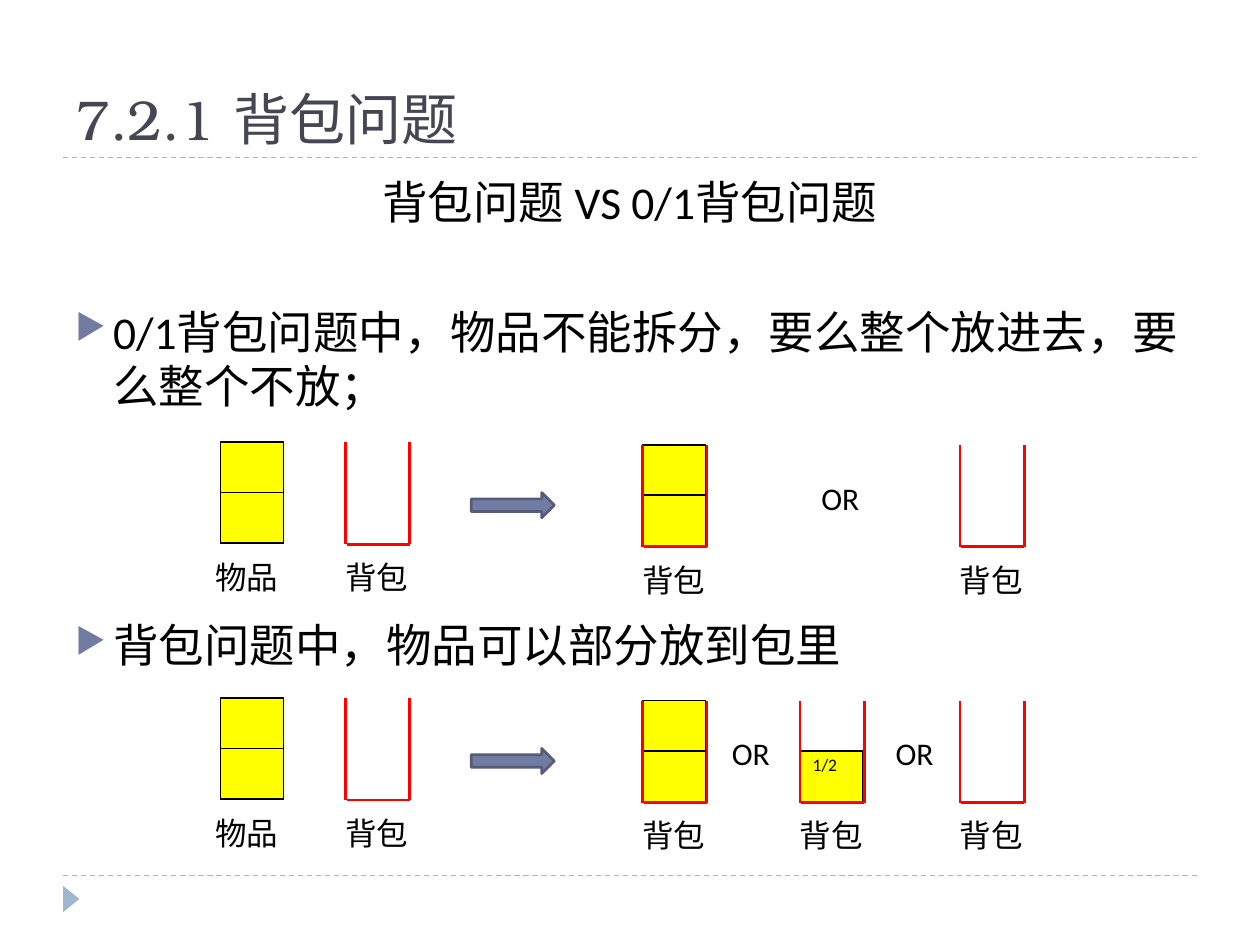
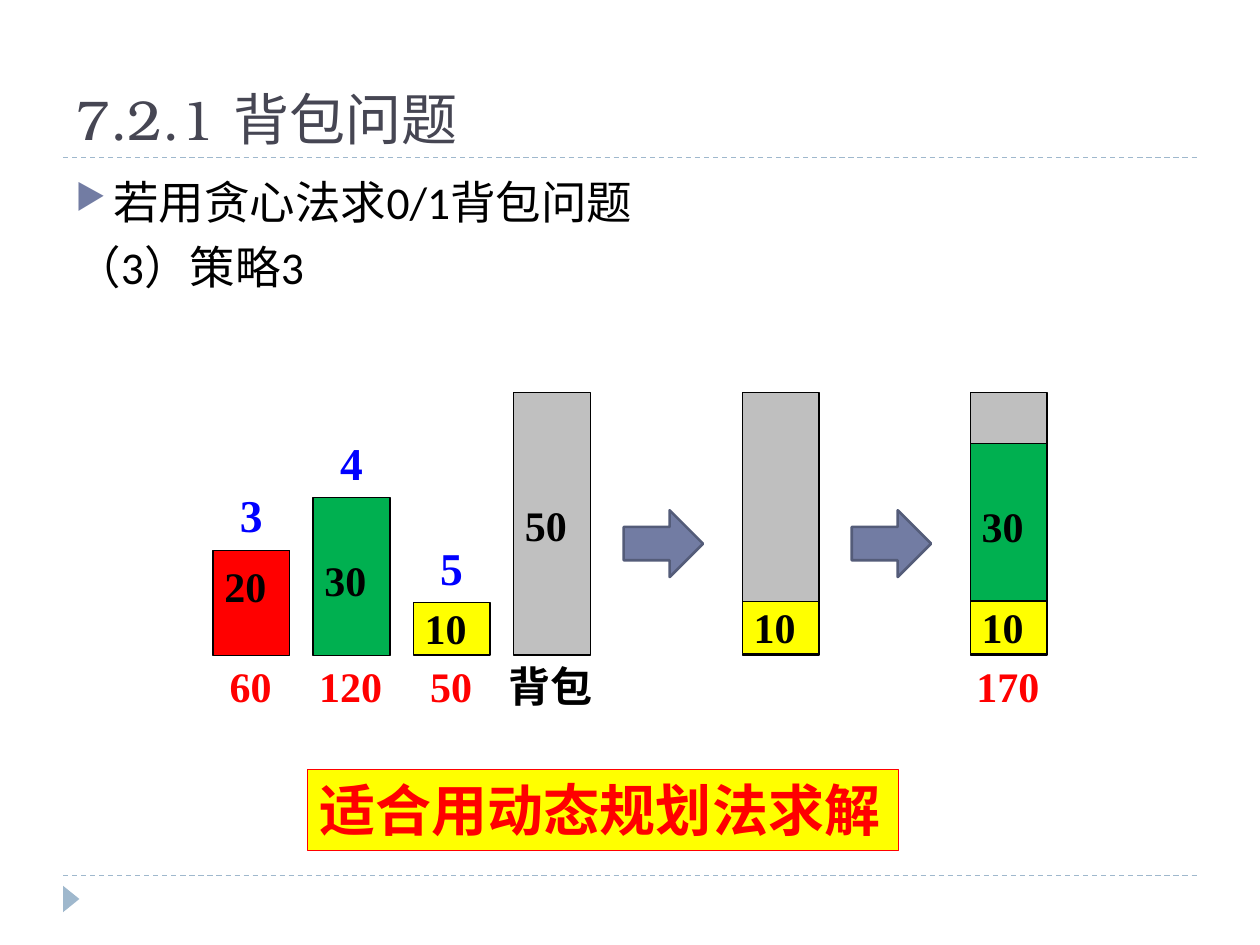
import pptx
import pptx.util
import pptx.dml.color
import pptx.enum.dml
import pptx.enum.shapes
import pptx.enum.text
import pptx.oxml
import pptx.oxml.ns

Inches = pptx.util.Inches
Pt = pptx.util.Pt
Shape = pptx.enum.shapes.MSO_SHAPE
Align = pptx.enum.text.PP_ALIGN
Anchor = pptx.enum.text.MSO_ANCHOR


class Theme:
    black, red, blue = "000000", "FF0000", "0000FF"
    yellow, green = "FFFF00", "00B050"
    gray, silver = "C0C0C0", "BFBFBF"
    title, rule = "464653", "9FB8CD"
    accent, edge = "727CA3", "545C79"
    thin, thick = 0.75, 1.5
    head = dict(name="TeX Gyre Bonum", size=32, color=title)
    body = dict(name="Calibri", size=26, color=black)
    label = dict(name="Calibri", size=18, color=black)
    note = dict(name="Calibri", size=10, color=black)
    weight = dict(name="Times New Roman", size=24, color=black, bold=True)
    price = {**weight, "color": red}
    ratio = {**weight, "size": 26, "color": blue}
    banner = dict(name="Calibri", size=32, color=red, bold=True)


def rgb(code):
    return pptx.dml.color.RGBColor.from_string(code)


def put(target, values):
    for key, value in values.items():
        setattr(target, key, value)


def write(para, words, style):
    run = para.add_run()
    run.text = words
    for key, value in style.items():
        if key == "color":
            run.font.color.rgb = rgb(value)
        else:
            setattr(run.font, key, Pt(value) if key == "size" else value)


def label(slide, box, words, style, **frame):
    area = slide.shapes.add_textbox(*map(Inches, box)).text_frame
    put(area, {"word_wrap": False, **frame})
    write(area.paragraphs[0], words, style)


def block(slide, kind, box, fill, edge=None, width=Theme.thin):
    shape = slide.shapes.add_shape(kind, *map(Inches, box))
    shape.shadow.inherit = False
    shape.fill.solid()
    shape.fill.fore_color.rgb = rgb(fill)
    if edge:
        shape.line.color.rgb = rgb(edge)
        shape.line.width = Pt(width)
    else:
        shape.line.fill.background()
    return shape


def arrow(slide, box):
    block(slide, Shape.RIGHT_ARROW, box, Theme.accent, Theme.edge, Theme.thick)


def line(shapes, start, end, color, width):
    link = shapes.add_connector(pptx.enum.shapes.MSO_CONNECTOR.STRAIGHT,
                                *map(Inches, (*start, *end)))
    link.line.color.rgb = rgb(color)
    link.line.width = Pt(width)
    props = link._element.spPr
    props.append(props.makeelement(pptx.oxml.ns.qn("a:effectLst"), {}))
    return link


def bullet(para):
    props = para._p.get_or_add_pPr()
    put_at = {"marL": Inches(0.3), "indent": Inches(-0.3)}
    for key, value in put_at.items():
        props.set(key, str(value))
    space = pptx.oxml.ns.nsdecls("a")
    for part in (f'<a:buClr {space}><a:srgbClr val="{Theme.accent}"/></a:buClr>',
                 f'<a:buSzPct {space} val="76000"/>',
                 f'<a:buChar {space} char="▶"/>'):
        props.append(pptx.oxml.parse_xml(part))


def frame(deck, title):
    slide = deck.slides.add_slide(deck.slide_layouts[6])
    for y in (6.95, 1.25):
        rule = line(slide.shapes, (0.5, y), (9.5, y), Theme.rule, Theme.thin)
        rule.line.dash_style = pptx.enum.dml.MSO_LINE.DASH
    mark = block(slide, Shape.ISOSCELES_TRIANGLE, (0.46, 7.07, 0.21, 0.13), Theme.rule)
    mark.rotation = 90
    label(slide, (0.5, 0.17, 9, 1.08), title, Theme.head,
          word_wrap=True, vertical_anchor=Anchor.BOTTOM)
    return slide


def body(slide, box, items):
    area = slide.shapes.add_textbox(*map(Inches, box)).text_frame
    area.word_wrap = True
    for i, (words, gap, align, dot) in enumerate(items):
        para = area.add_paragraph() if i else area.paragraphs[0]
        put(para, {"space_before": Pt(gap), "alignment": align})
        if dot:
            bullet(para)
        write(para, words, Theme.body)


def goods(slide, x, y, rows, note=""):
    grid = slide.shapes.add_table(rows, 1, *map(Inches, (x, y, 0.5, 0.4 * rows))).table
    put(grid, {"first_row": False, "horz_banding": False})
    space = pptx.oxml.ns.nsdecls("a")
    for cell in grid.iter_cells():
        put(cell, {"margin_top": Inches(0.03), "margin_bottom": Inches(0.03)})
        props = cell._tc.get_or_add_tcPr()
        for side in "LRTB":
            props.append(pptx.oxml.parse_xml(
                f'<a:ln{side} {space} w="{Pt(1)}"><a:solidFill>'
                f'<a:srgbClr val="{Theme.black}"/></a:solidFill></a:ln{side}>'))
        cell.fill.solid()
        cell.fill.fore_color.rgb = rgb(Theme.yellow)
        if note:
            write(cell.text_frame.paragraphs[0], note, Theme.note)


def sack(slide, x, y, rows=0, note=""):
    if rows:
        goods(slide, x, y + 0.4 * (2 - rows), rows, note)
    group = slide.shapes.add_group_shape()
    left, right, base = x, x + 0.51, y + 0.81
    for start, end in (((left, y), (left, base)),
                       ((left + 0.01, base), (right, base)),
                       ((right, y), (right, base))):
        line(group.shapes, start, end, Theme.red, Theme.thick)
    label(slide, (x - 0.1, y + 0.87, 0.71, 0.4), "背包", Theme.label)


def choice(slide, x, y, sacks, links):
    goods(slide, x, y, 2)
    label(slide, (x - 0.14, y + 0.87, 0.71, 0.4), "物品", Theme.label)
    sack(slide, x + 0.99, y)
    arrow(slide, (x + 1.99, y + 0.4, 0.66, 0.2))
    for dx, rows, note in sacks:
        sack(slide, x + dx, y + 0.02, rows, note)
    for dx in links:
        label(slide, (x + dx, y + 0.24, 0.51, 0.4), "OR", Theme.label)


def bar(slide, x, base, load, fill, top=None):
    high = load / 24
    shape = block(slide, Shape.RECTANGLE, (x, base - high, 0.61, high), fill, Theme.black)
    if top is not None:
        area = shape.text_frame
        put(area, {"margin_left": Inches(0.09), "margin_right": 0,
                   "margin_top": Inches(top), "margin_bottom": 0,
                   "vertical_anchor": Anchor.TOP, "word_wrap": True})
        area.paragraphs[0].alignment = Align.LEFT
        write(area.paragraphs[0], str(load), Theme.weight)


def greedy(slide, x, base):
    items = ((20, Theme.red, 0.08, "3", "60", 0.54),
             (30, Theme.green, 0.45, "4", "120", 0.71),
             (10, Theme.yellow, 0, "5", "50", 0.54),
             (50, Theme.gray, 0.85, "", "背包", 0.88))
    for i, (load, fill, top, ratio, foot, wide) in enumerate(items):
        left = x + 0.795 * i
        mid = left + 0.305
        bar(slide, left, base, load, fill, top)
        style = Theme.price if ratio else Theme.weight
        label(slide, (mid - wide / 2, base - 0.01, wide, 0.5), foot, style)
        if ratio:
            label(slide, (mid - 0.19, base - load / 24 - 0.55, 0.38, 0.54),
                  ratio, Theme.ratio)
    for i in range(2):
        arrow(slide, (x + 3.26 + 1.81 * i, base - 1.15, 0.63, 0.53))
        left = x + 4.2 + 1.81 * i
        bar(slide, left, base, 50, Theme.silver)
        bar(slide, left, base - 0.01, 10, Theme.yellow, 0)
    bar(slide, left, base - 0.43, 30, Theme.green, 0.45)
    label(slide, (left - 0.05, base - 0.01, 0.71, 0.51), "170", Theme.price)


def banner(slide, box, words):
    shape = block(slide, Shape.RECTANGLE, box, Theme.yellow, Theme.red)
    area = shape.text_frame
    put(area, {"word_wrap": False, "vertical_anchor": Anchor.TOP})
    area.paragraphs[0].alignment = Align.LEFT
    write(area.paragraphs[0], words, Theme.banner)


def main():
    deck = pptx.Presentation()
    put(deck, {"slide_width": Inches(10), "slide_height": Inches(7.5)})
    title = "7.2.1 背包问题"
    area = (0.5, 1.33, 9, 5.4)

    slide = frame(deck, title)
    body(slide, area, (
        ("背包问题 VS 0/1背包问题", 6, Align.CENTER, False),
        ("0/1背包问题中，物品不能拆分，要么整个放进去，要么整个不放；", 43, Align.LEFT, True),
        ("背包问题中，物品可以部分放到包里", 117, Align.LEFT, True)))
    full, half, none = (3.35, 2, ""), (4.6, 1, "1/2"), (5.87, 0, "")
    choice(slide, 1.75, 3.51, (full, none), (4.67,))
    choice(slide, 1.75, 5.54, (full, half, none), (3.96, 5.26))

    slide = frame(deck, title)
    body(slide, area, (
        ("若用贪心法求0/1背包问题", 6, Align.LEFT, True),
        ("（3）策略3", 6, Align.LEFT, False)))
    greedy(slide, 1.69, 5.2)
    banner(slide, (2.44, 6.11, 4.69, 0.64), "适合用动态规划法求解")
    deck.save("out.pptx")


if __name__ == "__main__":
    main()
